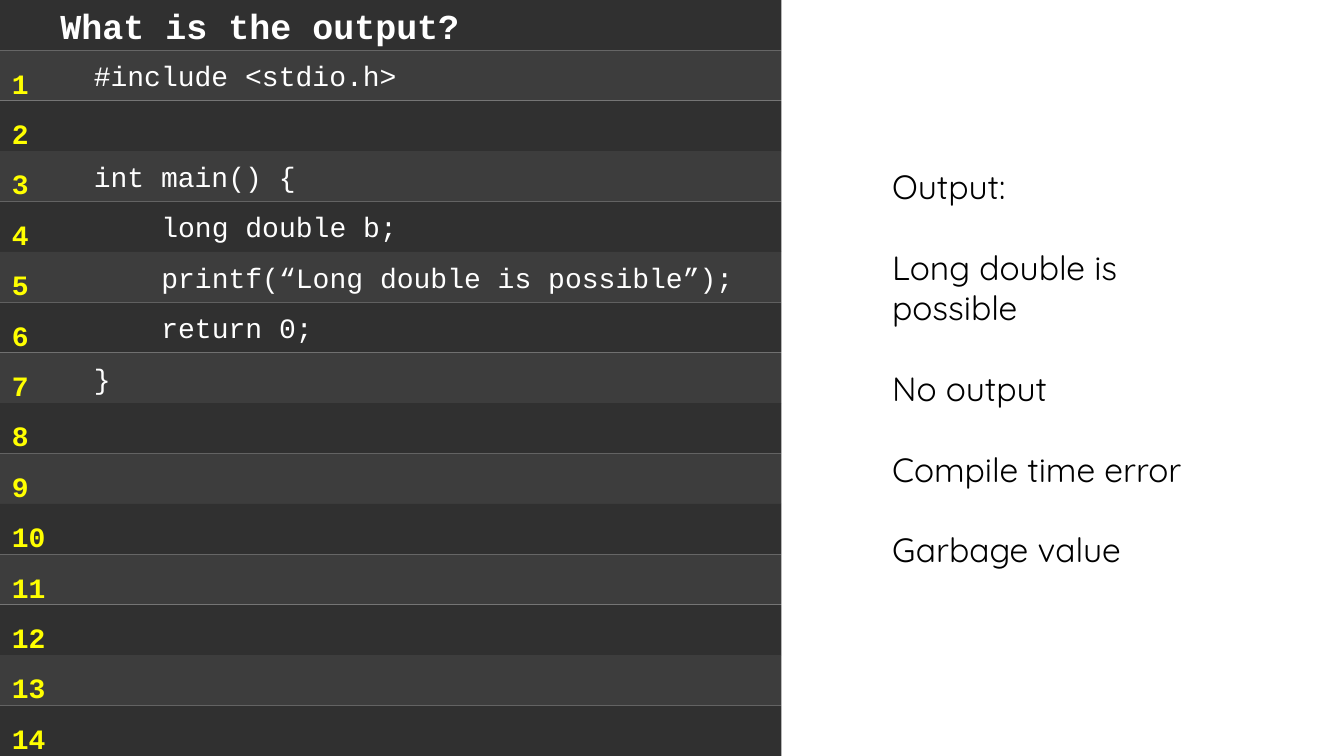
from dataclasses import dataclass

from pptx import Presentation
from pptx.dml.color import RGBColor
from pptx.enum.shapes import MSO_SHAPE
from pptx.enum.text import MSO_ANCHOR, PP_ALIGN
from pptx.util import Inches, Pt


@dataclass(frozen=True)
class Theme:
    dark: str = "303030"
    light: str = "3D3D3D"
    white: str = "FFFFFF"
    black: str = "000000"
    yellow: str = "FFFF00"
    code_font: str = "Courier New"
    answer_font: str = "Quicksand"
    title_size: int = 25
    code_size: int = 20
    answer_size: int = 24


THEME = Theme()
ROW_HEIGHT = 0.5
EDITOR_WIDTH = 7.75
LINE_COUNT = 14
CODE_INDENT = 0.93
BODY_INDENT = 1.6
CODE = {
    1: ("#include <stdio.h>", CODE_INDENT),
    3: ("int main() {", CODE_INDENT),
    4: ("long double b;", BODY_INDENT),
    5: ("printf(“Long double is possible”);", BODY_INDENT),
    6: ("return 0;", BODY_INDENT),
    7: ("}", CODE_INDENT),
}
ANSWERS = [
    "Output:",
    "Long double is possible",
    "No output",
    "Compile time error",
    "Garbage value",
]


def write(frame, lines, font=THEME.code_font, size=THEME.code_size,
          color=THEME.white, bold=False, indent=0.1, spacing=None, gap=0,
          anchor=MSO_ANCHOR.TOP):
    frame.word_wrap = True
    frame.vertical_anchor = anchor
    frame.margin_left = Inches(indent)
    for index, line in enumerate(lines):
        paragraph = frame.add_paragraph() if index else frame.paragraphs[0]
        paragraph.alignment = PP_ALIGN.LEFT
        paragraph.line_spacing = spacing
        paragraph.space_before = Pt(gap if index else 0)
        run = paragraph.add_run()
        run.text = line
        run.font.name = font
        run.font.size = Pt(size)
        run.font.bold = bold
        run.font.color.rgb = RGBColor.from_string(color)


def add_panel(slide, left, top, width, height, color):
    panel = slide.shapes.add_shape(
        MSO_SHAPE.RECTANGLE,
        Inches(left), Inches(top), Inches(width), Inches(height))
    panel.shadow.inherit = False
    panel.fill.solid()
    panel.fill.fore_color.rgb = RGBColor.from_string(color)
    panel.line.fill.background()
    return panel


def add_row(slide, number):
    color = THEME.light if number % 2 else THEME.dark
    return add_panel(slide, 0, number * ROW_HEIGHT, EDITOR_WIDTH, ROW_HEIGHT, color)


def add_text(slide, left, top, width, height, lines, **style):
    box = slide.shapes.add_textbox(
        Inches(left), Inches(top), Inches(width), Inches(height))
    write(box.text_frame, lines, **style)


def add_editor(slide):
    title = add_row(slide, 0)
    write(title.text_frame, ["What is the output?"], size=THEME.title_size,
          bold=True, indent=0.6, anchor=MSO_ANCHOR.MIDDLE)
    for number in range(1, LINE_COUNT + 1):
        row = add_row(slide, number)
        if number in CODE:
            code, indent = CODE[number]
            write(row.text_frame, [code], indent=indent, anchor=MSO_ANCHOR.MIDDLE)


def main():
    deck = Presentation()
    deck.slide_width = Inches(13.33)
    deck.slide_height = Inches(7.5)
    slide = deck.slides.add_slide(deck.slide_layouts[6])

    add_editor(slide)
    add_panel(slide, 8, 0, 5.33, 7.5, THEME.white)
    line_numbers = [str(number) for number in range(1, LINE_COUNT + 1)]
    add_text(slide, 0.02, 0.44, 0.56, 7.06, line_numbers,
             color=THEME.yellow, bold=True, spacing=1.5)
    add_text(slide, 8.75, 1.6, 3.67, 4.14, ANSWERS, font=THEME.answer_font,
             size=THEME.answer_size, color=THEME.black, gap=28.8)

    deck.save("out.pptx")


main()
